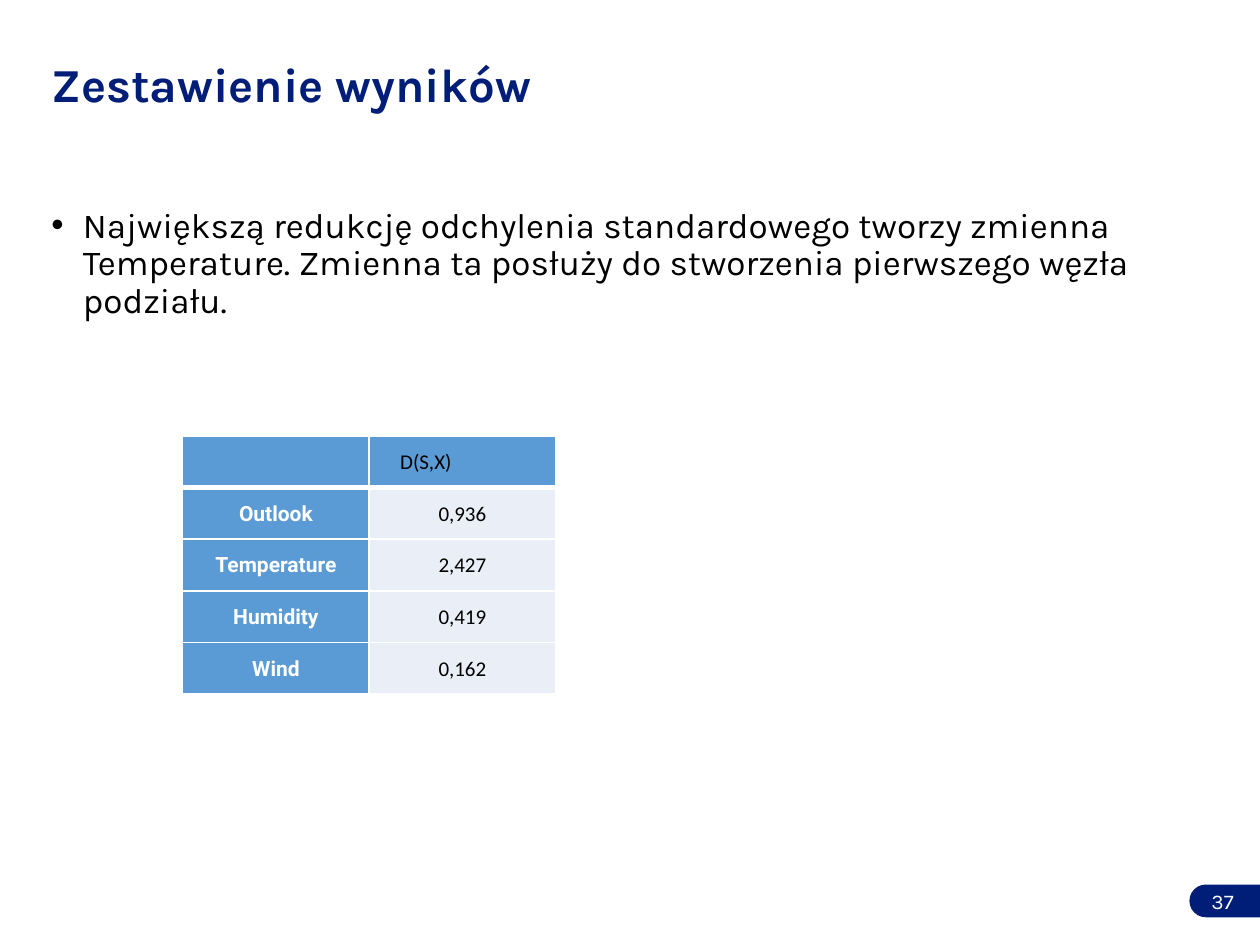
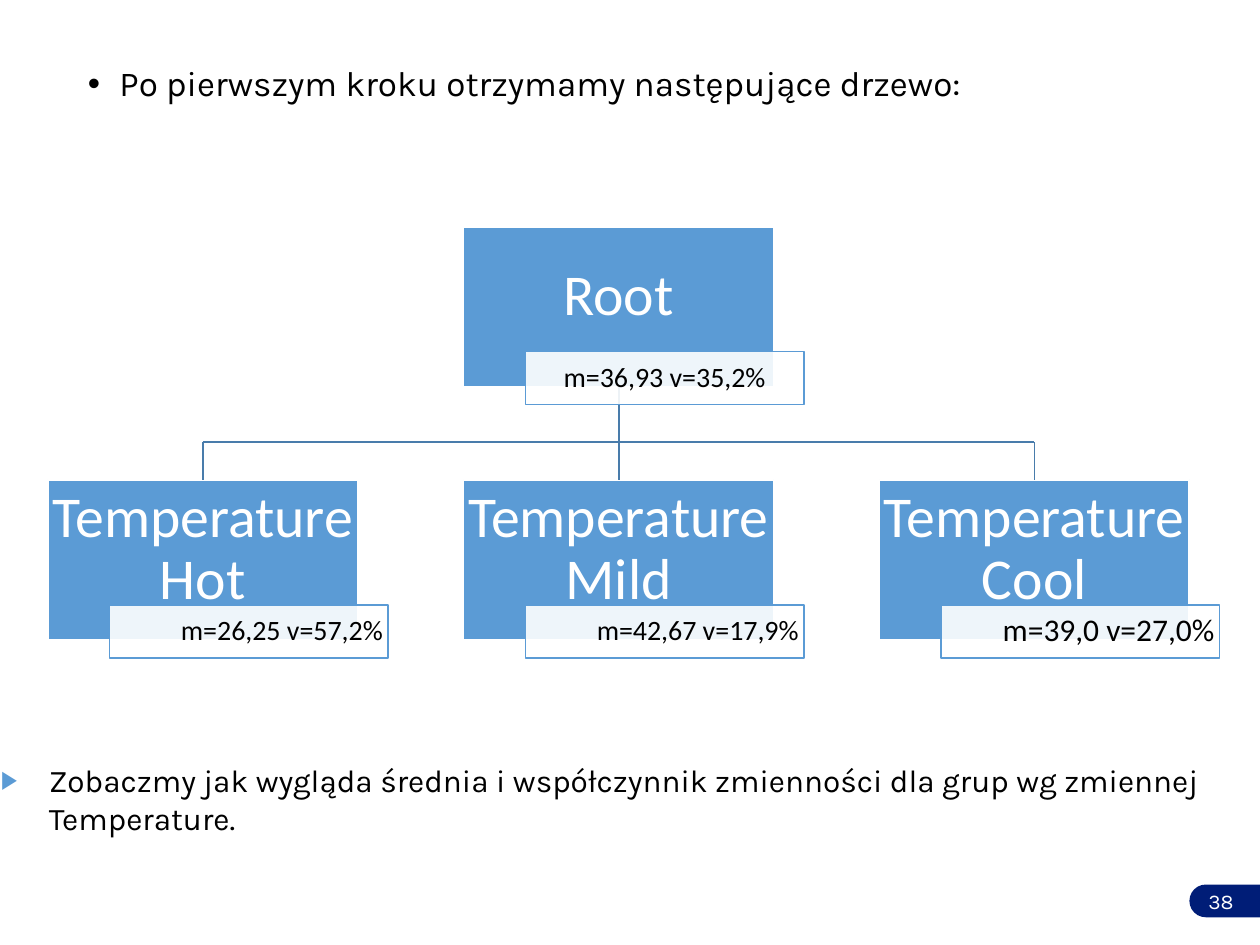
import dataclasses

import lxml.etree
import pptx
import pptx.dml.color
import pptx.enum.shapes
import pptx.enum.text
import pptx.oxml.ns
import pptx.util

Inches = pptx.util.Inches
Pt = pptx.util.Pt
Align = pptx.enum.text.PP_ALIGN
Anchor = pptx.enum.text.MSO_ANCHOR
Shape = pptx.enum.shapes.MSO_SHAPE


@dataclasses.dataclass(frozen=True)
class Theme:
    navy: str = "001D77"
    blue: str = "5B9BD5"
    line_blue: str = "497CAB"
    pale: str = "EAEFF7"
    white: str = "FFFFFF"
    black: str = "000000"
    text_font: str = "Karla"
    diagram_font: str = "Calibri"
    row_font: str = "Roboto"
    title_size: int = 27
    body_size: int = 20
    note_size: int = 18
    node_size: int = 33
    label_size: int = 16
    small_size: int = 12


def rgb(color):
    return pptx.dml.color.RGBColor.from_string(color)


def add_xml(parent, tag, **attributes):
    element = lxml.etree.SubElement(parent, pptx.oxml.ns.qn(tag))
    for name, value in attributes.items():
        element.set(name, str(value))
    return element


class Deck:
    def __init__(self, theme):
        self.theme = theme
        self.presentation = pptx.Presentation()
        self.presentation.slide_width = Inches(10)
        self.presentation.slide_height = Inches(7.5)
        self.slide = None

    def new_slide(self, number):
        self.slide = self.presentation.slides.add_slide(self.presentation.slide_layouts[6])
        tab = self.shape(Shape.ROUND_2_SAME_RECTANGLE, (9.59, 6.87, 0.26, 0.56), self.theme.navy)
        tab.adjustments[0] = 0.5
        tab.rotation = 270
        self.text((7.06, 6.95, 2.83, 0.4), str(number), self.theme.small_size,
                  color=self.theme.white, align=Align.RIGHT, anchor=Anchor.MIDDLE)

    def style(self, paragraph, size, color, font, bold=False, align=Align.LEFT):
        paragraph.alignment = align
        paragraph.font.size = Pt(size)
        paragraph.font.name = font
        paragraph.font.bold = bold
        paragraph.font.color.rgb = rgb(color)

    def margins(self, frame, left, top, right, bottom):
        frame.margin_left = Inches(left)
        frame.margin_top = Inches(top)
        frame.margin_right = Inches(right)
        frame.margin_bottom = Inches(bottom)

    def text(self, box, text, size, color=None, bold=False, align=Align.LEFT,
             anchor=Anchor.TOP, spacing=None):
        frame = self.slide.shapes.add_textbox(*map(Inches, box)).text_frame
        frame.word_wrap = True
        frame.vertical_anchor = anchor
        frame.text = text
        paragraph = frame.paragraphs[0]
        paragraph.line_spacing = spacing
        self.style(paragraph, size, color or self.theme.black, self.theme.text_font, bold, align)
        return frame

    def title(self, text):
        frame = self.text((0.31, 0.4, 9.42, 0.98), text, self.theme.title_size,
                          self.theme.navy, bold=True, spacing=0.9)
        frame.margin_top = Inches(0.09)

    def bullet(self, box, text, size, mark="•", indent=0.25, spacing=0.9, color=None, percent=100):
        frame = self.text(box, text, size, spacing=spacing)
        paragraph = frame.paragraphs[0]
        paragraph.space_before = Pt(10)
        properties = paragraph._p.get_or_add_pPr()
        properties.set("marL", str(Inches(indent)))
        properties.set("indent", str(-Inches(indent)))
        defaults = properties.find(pptx.oxml.ns.qn("a:defRPr"))
        bullet_color = add_xml(properties, "a:buClr")
        add_xml(bullet_color, "a:srgbClr", val=color or self.theme.black)
        add_xml(properties, "a:buSzPct", val=percent * 1000)
        add_xml(properties, "a:buFont", typeface="Arial")
        add_xml(properties, "a:buChar", char=mark)
        properties.append(defaults)

    def shape(self, kind, box, fill, line=None):
        shape = self.slide.shapes.add_shape(kind, *map(Inches, box))
        shape.shadow.inherit = False
        shape.fill.solid()
        shape.fill.fore_color.rgb = rgb(fill)
        if line:
            shape.line.color.rgb = rgb(line)
            shape.line.width = Pt(1)
        else:
            shape.line.fill.background()
        return shape

    def box_text(self, shape, text, size, color, align, margins):
        frame = shape.text_frame
        frame.word_wrap = True
        frame.vertical_anchor = Anchor.MIDDLE
        self.margins(frame, *margins)
        frame.text = text
        frame.paragraphs[0].line_spacing = 0.9
        self.style(frame.paragraphs[0], size, color, self.theme.diagram_font, align=align)

    def node(self, left, top, text):
        shape = self.shape(Shape.RECTANGLE, (left, top, 2.46, 1.27), self.theme.blue, self.theme.white)
        self.box_text(shape, text, self.theme.node_size, self.theme.white,
                      Align.CENTER, (0.02, 0.02, 0.02, 0.18))
        return shape

    def node_label(self, left, top, text, size, align=Align.RIGHT):
        shape = self.shape(Shape.RECTANGLE, (left + 0.49, top + 0.99, 2.21, 0.42),
                           self.theme.white, self.theme.blue)
        fill_color = shape._element.spPr.find(pptx.oxml.ns.qn("a:solidFill"))[0]
        add_xml(fill_color, "a:alpha", val=90000)
        self.box_text(shape, text, size, self.theme.black, align, (0.04, 0.01, 0.04, 0.01))

    def line(self, start, end, begin_shape=None, end_shape=None):
        connector = self.slide.shapes.add_connector(
            pptx.enum.shapes.MSO_CONNECTOR.STRAIGHT, *map(Inches, start + end))
        connector.line.color.rgb = rgb(self.theme.line_blue)
        connector.line.width = Pt(1)
        add_xml(connector._element.spPr, "a:effectLst")
        if begin_shape:
            connector.begin_connect(begin_shape, 2)
        if end_shape:
            connector.end_connect(end_shape, 0)

    def cell_borders(self, cell, widths):
        properties = cell._tc.get_or_add_tcPr()
        for index, (side, width) in enumerate(widths.items()):
            border = lxml.etree.Element(pptx.oxml.ns.qn(f"a:ln{side}"), w=str(Pt(width)))
            add_xml(add_xml(border, "a:solidFill"), "a:srgbClr", val=self.theme.white)
            properties.insert(index, border)

    def table(self, left, top, column_width, row_height, rows):
        column_count = len(rows[0])
        table = self.slide.shapes.add_table(
            len(rows), column_count, Inches(left), Inches(top),
            Inches(column_width * column_count), Inches(row_height * len(rows))).table
        for row_index, row in enumerate(rows):
            for column_index, text in enumerate(row):
                is_header, is_row_name = row_index == 0, column_index == 0
                cell = table.cell(row_index, column_index)
                cell.text = text
                cell.vertical_anchor = Anchor.MIDDLE
                self.margins(cell, 0.01, 0.01, 0.59 if is_header else 0.01, 0)
                cell.fill.solid()
                cell.fill.fore_color.rgb = rgb(
                    self.theme.blue if is_header or is_row_name else self.theme.pale)
                self.style(cell.text_frame.paragraphs[0], self.theme.small_size,
                           self.theme.white if is_row_name else self.theme.black,
                           self.theme.row_font if is_row_name else self.theme.diagram_font,
                           bold=is_row_name, align=Align.CENTER)
                self.cell_borders(cell, {"L": 1, "R": 1, "T": 3 if row_index == 1 else 1,
                                         "B": 3 if is_header else 1})


def build_results(deck):
    deck.new_slide(37)
    deck.title("Zestawienie wyników")
    deck.bullet((0.31, 1.6, 9.42, 5.16),
                "Największą redukcję odchylenia standardowego tworzy zmienna Temperature. "
                "Zmienna ta posłuży do stworzenia pierwszego węzła podziału.",
                deck.theme.body_size)
    deck.table(1.45, 3.46, 1.48, 0.41, [
        ("", "D(S,X)"),
        ("Outlook", "0,936"),
        ("Temperature", "2,427"),
        ("Humidity", "0,419"),
        ("Wind", "0,162"),
    ])


def build_tree(deck):
    theme = deck.theme
    deck.new_slide(38)
    deck.bullet((0.6, 0.48, 9.6, 0.71), "Po pierwszym kroku otrzymamy następujące drzewo:",
                theme.body_size)
    deck.bullet((-0.09, 5.99, 11, 1.13),
                "Zobaczmy jak wygląda średnia i współczynnik zmienności dla grup "
                "wg zmiennej Temperature.",
                theme.note_size, mark="▶", indent=0.38, spacing=None, color=theme.blue, percent=80)

    root_top, branch_top, bus_y = 1.8, 3.81, 3.51
    lefts = [0.38 + 3.3 * index for index in range(3)]
    centers = [left + 1.23 for left in lefts]
    branches = [
        ("Temperature Hot", "m=26,25 v=57,2%", theme.label_size),
        ("Temperature Mild", "m=42,67 v=17,9%", theme.label_size),
        ("Temperature Cool", "m=39,0 v=27,0%", theme.note_size),
    ]
    root = deck.node(lefts[1], root_top, "Root")
    nodes = [deck.node(left, branch_top, name) for left, (name, _, _) in zip(lefts, branches)]

    deck.line((centers[1], root_top + 1.27), (centers[1], branch_top), root, nodes[1])
    deck.line((centers[0], bus_y), (centers[2], bus_y))
    for index in (0, 2):
        deck.line((centers[index], bus_y), (centers[index], branch_top), end_shape=nodes[index])

    deck.node_label(lefts[1], root_top, "m=36,93 v=35,2%", theme.label_size, Align.CENTER)
    for left, (_, statistics, size) in zip(lefts, branches):
        deck.node_label(left, branch_top, statistics, size)


def main():
    deck = Deck(Theme())
    build_results(deck)
    build_tree(deck)
    deck.presentation.save("out.pptx")


if __name__ == "__main__":
    main()
